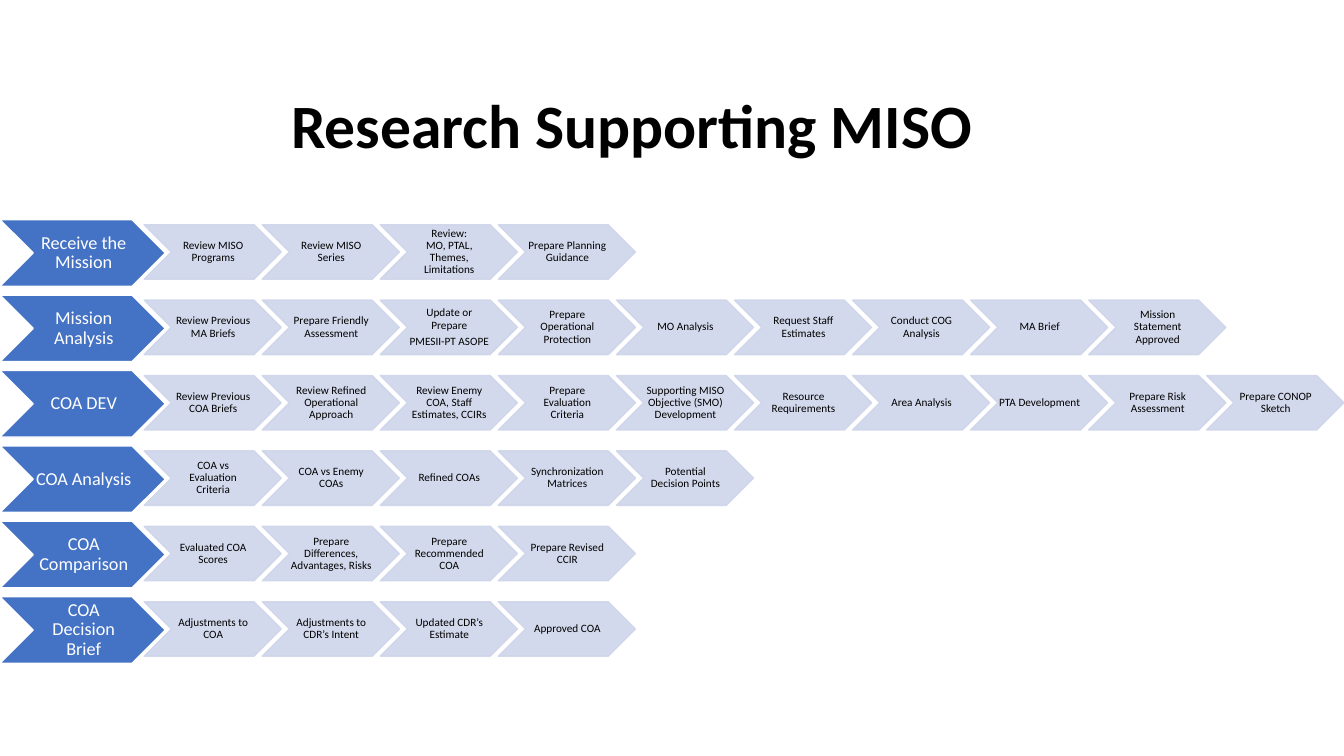
from copy import deepcopy

from pptx import Presentation
from pptx.dml.color import RGBColor
from pptx.enum.shapes import MSO_SHAPE
from pptx.enum.text import MSO_ANCHOR, PP_ALIGN
from pptx.oxml.ns import qn
from pptx.util import Inches, Pt
from lxml.etree import SubElement

BLUE = RGBColor(0x44, 0x72, 0xC4)
PALE = RGBColor(0xCF, 0xD5, 0xEA)
WHITE = RGBColor(0xFF, 0xFF, 0xFF)
BLACK = RGBColor(0x00, 0x00, 0x00)

PHASES = [
    ("Receive the Mission", [
        "Review MISO Programs", "Review MISO Series",
        "Review:\vMO, PTAL, Themes, Limitations", "Prepare Planning Guidance"]),
    ("Mission Analysis", [
        "Review Previous MA Briefs", "Prepare Friendly Assessment",
        "Update or Prepare\nPMESII-PT ASOPE", "Prepare Operational Protection",
        "MO Analysis", "Request Staff Estimates", "Conduct COG Analysis",
        "MA Brief", "Mission Statement Approved"]),
    ("COA DEV", [
        "Review Previous COA Briefs", "Review Refined Operational Approach",
        "Review Enemy COA, Staff Estimates, CCIRs", "Prepare Evaluation Criteria",
        "Supporting MISO Objective (SMO) Development", "Resource Requirements",
        "Area Analysis", "PTA Development", "Prepare Risk Assessment",
        "Prepare CONOP Sketch"]),
    ("COA Analysis", [
        "COA vs Evaluation Criteria", "COA vs Enemy COAs", "Refined COAs",
        "Synchronization Matrices", "Potential Decision Points"]),
    ("COA Comparison", [
        "Evaluated COA Scores", "Prepare Differences, Advantages, Risks",
        "Prepare Recommended COA", "Prepare Revised CCIR"]),
    ("COA Decision Brief", [
        "Adjustments to COA", "Adjustments to CDR’s Intent",
        "Updated CDR’s Estimate", "Approved COA"]),
]

PHASE_STYLE = {"size": (1.64, 0.66), "fill": BLUE, "line": WHITE, "alpha": 100,
               "inset": 0.02, "points": 13, "color": WHITE}
STEP_STYLE = {"size": (1.36, 0.54), "fill": PALE, "line": PALE, "alpha": 90,
              "inset": 0.01, "points": 8, "color": BLACK}

PHASE_TOP, ROW_PITCH = 2.18, 0.748
STEP_LEFT, STEP_PITCH, STEP_DROP = 1.43, 1.171, 0.05


def set_attrs(target, values):
    for name, value in values.items():
        setattr(target, name, value)


def format_text(tf, points, color, bold, gap):
    for p in tf.paragraphs:
        set_attrs(p, {"alignment": PP_ALIGN.CENTER, "line_spacing": 0.9,
                      "space_before": Pt(0), "space_after": Pt(gap)})
        for r in p.runs:
            set_attrs(r.font, {"name": "Calibri", "size": Pt(points), "bold": bold})
            r.font.color.rgb = color
        for br in p._p.findall(qn("a:br")):
            br.insert(0, deepcopy(p.runs[0]._r.rPr))


def add_title(s, text):
    sp = s.shapes.title
    set_attrs(sp, {"left": Inches(0.52), "top": Inches(0.55),
                   "width": Inches(11.5), "height": Inches(1.45)})
    tf = sp.text_frame
    tf.text = text
    set_attrs(tf, {"word_wrap": True, "vertical_anchor": MSO_ANCHOR.MIDDLE})
    format_text(tf, 44, BLACK, True, 0)


def add_chevron(s, left, top, text, style):
    width, height = style["size"]
    sp = s.shapes.add_shape(MSO_SHAPE.CHEVRON, Inches(left), Inches(top),
                            Inches(width), Inches(height))
    sp.shadow.inherit = False
    sp.line.width = Pt(1)
    for paint, color in ((sp.fill, style["fill"]), (sp.line.fill, style["line"])):
        paint.solid()
        paint.fore_color.rgb = color
    if style["alpha"] < 100:
        for clr in sp._element.spPr.iter(qn("a:srgbClr")):
            SubElement(clr, qn("a:alpha"), val=str(style["alpha"] * 1000))
    tf = sp.text_frame
    tf.text = text
    set_attrs(tf, {"word_wrap": True, "vertical_anchor": MSO_ANCHOR.MIDDLE,
                   "margin_left": Inches(style["inset"]), "margin_right": 0,
                   "margin_top": Inches(0.01), "margin_bottom": Inches(0.01)})
    format_text(tf, style["points"], style["color"], False, style["points"] * 0.35)


def add_phase_row(s, top, phase, steps):
    add_chevron(s, 0, top, phase, PHASE_STYLE)
    for col, step in enumerate(steps):
        add_chevron(s, STEP_LEFT + col * STEP_PITCH, top + STEP_DROP, step, STEP_STYLE)


def main():
    prs = Presentation()
    set_attrs(prs, {"slide_width": Inches(13.33), "slide_height": Inches(7.5)})
    s = prs.slides.add_slide(prs.slide_layouts[5])
    add_title(s, "Research Supporting MISO")
    for row, (phase, steps) in enumerate(PHASES):
        add_phase_row(s, PHASE_TOP + row * ROW_PITCH, phase, steps)
    prs.save("out.pptx")


if __name__ == "__main__":
    main()
